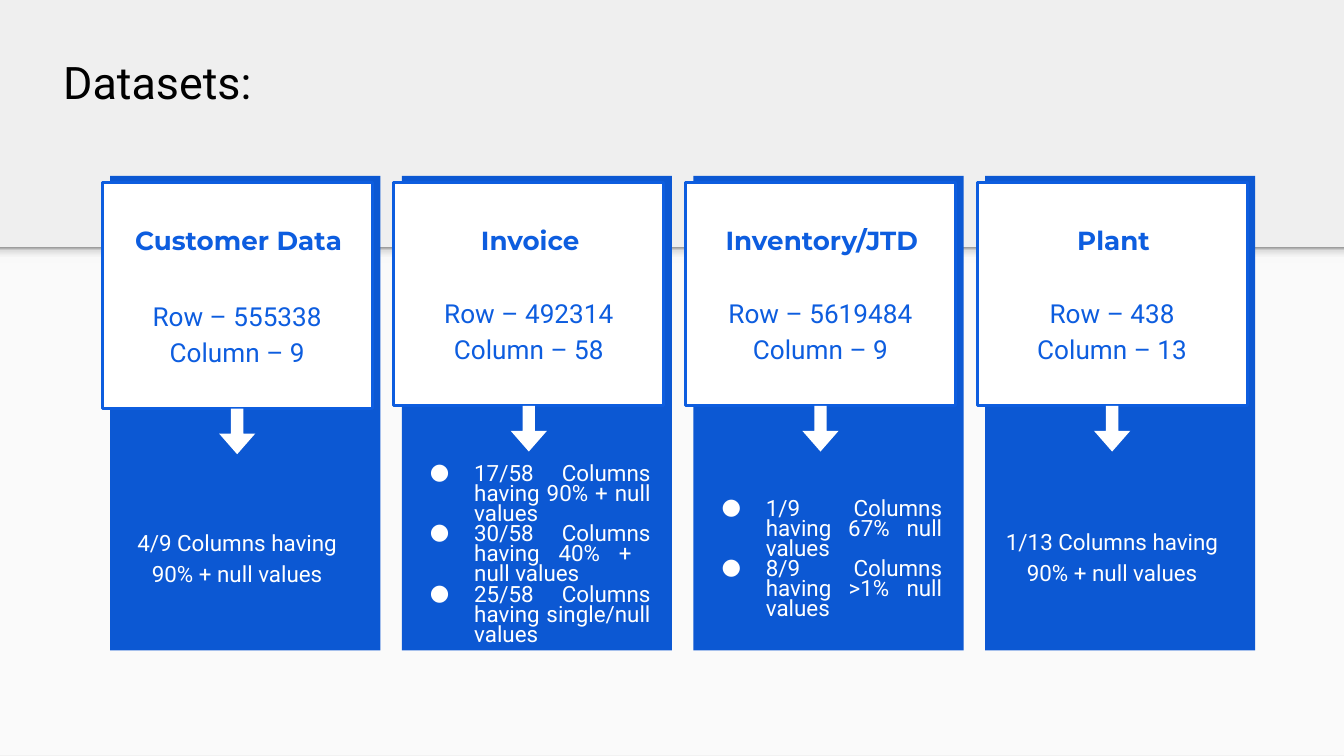
from lxml import etree
from pptx import Presentation
from pptx.dml.color import RGBColor
from pptx.enum import shapes, text
from pptx.oxml import ns
from pptx.util import Inches, Pt

PALE_GREY = RGBColor(0xEF, 0xEF, 0xEF)
OFF_WHITE = RGBColor(0xFA, 0xFA, 0xFA)
BLACK = RGBColor(0, 0, 0)
WHITE = RGBColor(255, 255, 255)
PANEL_BLUE = RGBColor(0x0C, 0x58, 0xD3)
TEXT_BLUE = RGBColor(0x0D, 0x5D, 0xDF)
SHADOW_STOPS = [(0, "999999"), (20, "DEDEDE"), (64, "F9F9F9"), (100, "F9F9F9")]

# Heading, row and column counts, findings, top of findings, their height,
# extra depth of the white box
CARDS = [
    ("Customer Data", ["Row – 555338", "Column – 9"],
     ["4/9 Columns having 90% + null values"], 3.81, 0.94, 0.02),
    ("Invoice", ["Row – 492314", "Column – 58"],
     ["17/58 Columns having 90% + null values",
      "30/58 Columns having 40% +  null values",
      "25/58 Columns having single/null values"], 3.36, 1.48, 0),
    ("Inventory/JTD", ["Row – 5619484", "Column – 9"],
     ["1/9 Columns having 67% null values",
      "8/9 Columns having >1% null values"], 3.62, 1.22, 0),
    ("Plant", ["Row – 438", "Column – 13"],
     ["1/13 Columns having 90% + null values"], 3.8, 1.04, 0),
]


def add_block(parent, kind, left, top, width, height, fill, line=None):
    shape = parent.add_shape(kind, Inches(left), Inches(top), Inches(width), Inches(height))
    shape.shadow.inherit = False
    shape.fill.solid()
    shape.fill.fore_color.rgb = fill
    if line is None:
        shape.line.fill.background()
    else:
        shape.line.color.rgb = line
        shape.line.width = Pt(1.5)
    return shape


def add_text(parent, left, top, width, height, lines, font, size, color,
             spacing=1.0, bold=False, bullets=False):
    box = parent.add_textbox(Inches(left), Inches(top), Inches(width), Inches(height))
    frame = box.text_frame
    frame.word_wrap = True
    frame.margin_left = frame.margin_right = Inches(0.1)
    frame.margin_top = frame.margin_bottom = Inches(0.1)
    frame.text = "\n".join(lines)
    for para in frame.paragraphs:
        para.alignment = text.PP_ALIGN.JUSTIFY if bullets else text.PP_ALIGN.CENTER
        para.line_spacing = spacing
        para.font.name, para.font.size, para.font.bold = font, Pt(size), bold
        para.font.color.rgb = color
        if bullets:
            props = para._p.get_or_add_pPr()
            props.set("marL", str(Inches(0.5)))
            props.set("indent", str(Inches(-0.33)))
            bullet_color = etree.Element(ns.qn("a:buClr"))
            etree.SubElement(bullet_color, ns.qn("a:srgbClr"), val=str(color))
            bullet_font = etree.Element(ns.qn("a:buFont"), typeface=font)
            bullet = etree.Element(ns.qn("a:buChar"), char="●")
            for part in (bullet_color, bullet_font, bullet):
                props.find(ns.qn("a:defRPr")).addprevious(part)


deck = Presentation()
deck.slide_width = Inches(10)
deck.slide_height = Inches(10) * 9 // 16
page = deck.slides.add_slide(deck.slide_layouts[5])

# Background: grey top, lighter lower part with a soft shadow along its edge
page.background.fill.solid()
page.background.fill.fore_color.rgb = PALE_GREY
RECT = shapes.MSO_SHAPE.RECTANGLE
add_block(page.shapes, RECT, 0, 1.84, 10, 3.78, OFF_WHITE)
edge = add_block(page.shapes, RECT, 0, 1.84, 10, 0.12, OFF_WHITE)
edge.fill.gradient()
edge.fill.gradient_angle = 270
stops = edge._element.spPr.find(".//" + ns.qn("a:gsLst"))
for stop in list(stops):
    stops.remove(stop)
for position, color in SHADOW_STOPS:
    stop = etree.SubElement(stops, ns.qn("a:gs"), pos=str(position * 1000))
    etree.SubElement(stop, ns.qn("a:srgbClr"), val=color)

# Title
title = page.shapes.title
title.left, title.top, title.width, title.height = [Inches(n) for n in (0.37, 0.29, 8.22, 0.62)]
frame = title.text_frame
frame.text = "Datasets:"
frame.auto_size = text.MSO_AUTO_SIZE.NONE
frame.vertical_anchor = text.MSO_ANCHOR.BOTTOM
frame.margin_left = frame.margin_right = Inches(0.1)
frame.margin_top = frame.margin_bottom = Inches(0.1)
para = frame.paragraphs[0]
para.alignment = text.PP_ALIGN.LEFT
para.font.name, para.font.size = "Roboto", Pt(24)
para.font.color.rgb = BLACK

# Dataset cards
for index, (heading, counts, findings, findings_top, findings_height, extra) in enumerate(CARDS):
    left = 0.76 + 2.17 * index
    card = page.shapes.add_group_shape().shapes
    add_block(card, RECT, left + 0.06, 1.31, 2.01, 3.53, PANEL_BLUE)
    add_block(card, RECT, left, 1.36, 2.01, 1.66 + extra, WHITE, TEXT_BLUE)
    add_text(card, left + 0.12, 1.57, 1.79, 0.62, [heading],
             "Montserrat", 14, TEXT_BLUE, bold=True)
    add_text(card, left + 0.11, 2.08 + extra, 1.79, 0.94, counts,
             "Roboto", 14, TEXT_BLUE, spacing=1.15)
    arrow = add_block(card, shapes.MSO_SHAPE.DOWN_ARROW,
                      left + 0.87, 3.02 + extra, 0.27, 0.34, WHITE)
    arrow.adjustments[0], arrow.adjustments[1] = 0.34, 0.57
    bulleted = len(findings) > 1
    add_text(card, left, findings_top, 2.01, findings_height, findings,
             "Roboto", 12, WHITE, spacing=0.75 if bulleted else 1.15, bullets=bulleted)

deck.save("out.pptx")
